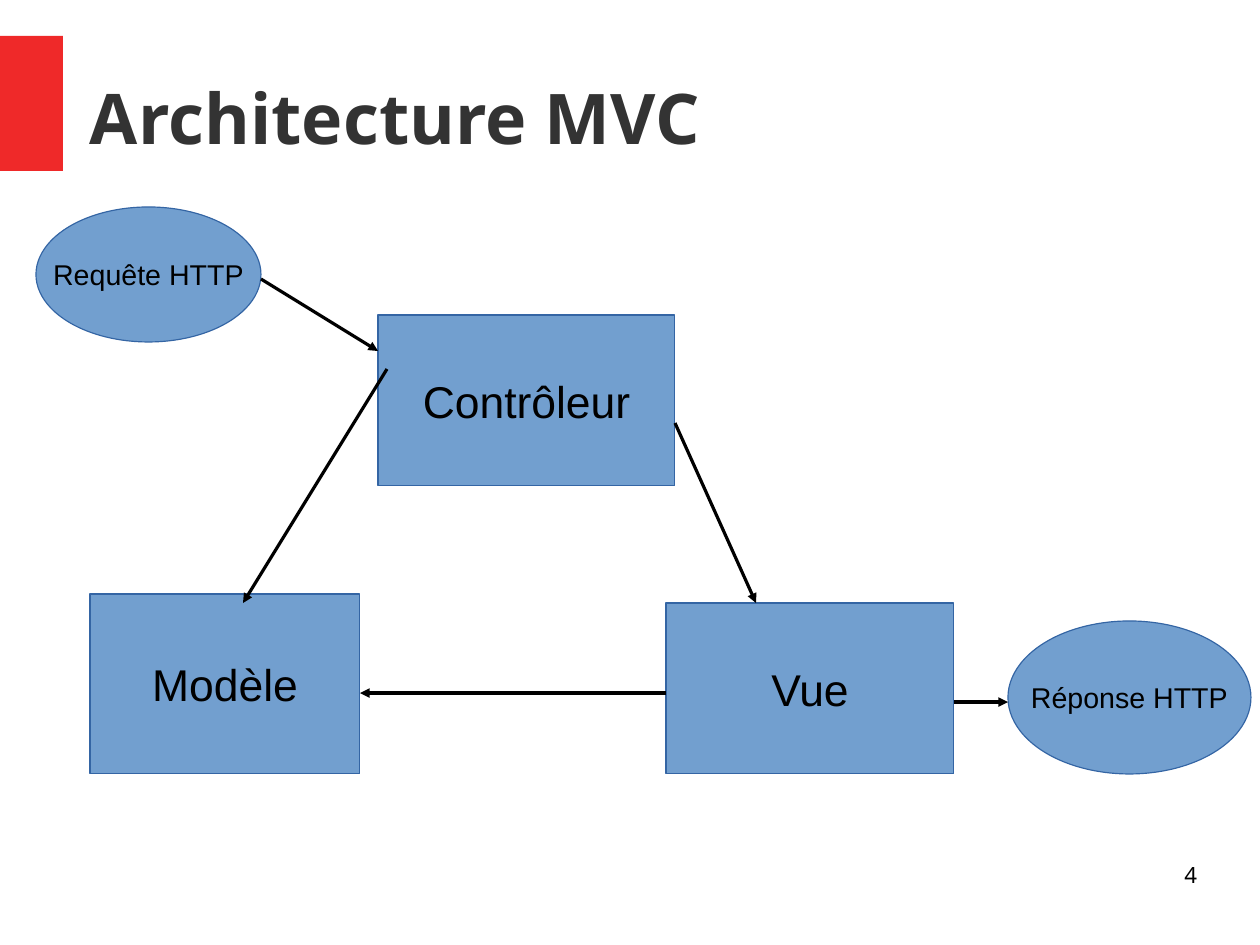
from lxml import etree
from pptx import Presentation
from pptx.dml.color import RGBColor
from pptx.enum.shapes import MSO_CONNECTOR, MSO_SHAPE
from pptx.enum.text import MSO_ANCHOR, PP_ALIGN
from pptx.oxml.ns import qn
from pptx.util import Pt

PX = 8000  # EMU in one px
RECT, OVAL = MSO_SHAPE.RECTANGLE, MSO_SHAPE.OVAL
STRAIGHT = MSO_CONNECTOR.STRAIGHT
TOP, MIDDLE = MSO_ANCHOR.TOP, MSO_ANCHOR.MIDDLE
LEFT, CENTER, RIGHT = PP_ALIGN.LEFT, PP_ALIGN.CENTER, PP_ALIGN.RIGHT


def px(*lengths):
    return [n * PX for n in lengths]


def rgb(color):
    return RGBColor.from_string(color)


class Deck:
    """Style and current slide, with one method per kind of element."""
    red, blue, edge = "EF2929", "729FCF", "3465A4"
    black, grey = "000000", "333333"
    body, heading = "Arial", "Noto Sans"

    def __init__(self, width, height):
        self.prs = Presentation()
        self.prs.slide_width, self.prs.slide_height = px(width, height)
        self.s = self.prs.slides.add_slide(self.prs.slide_layouts[6])

    def label(self, sp, text, color, align, frame, font):
        """Fill a shape with one line of text; frame and font are format dicts."""
        tf = sp.text_frame
        for name, value in frame.items():
            setattr(tf, name, value)
        p = tf.paragraphs[0]
        p.alignment = align
        r = p.add_run()
        r.text = text
        for name, value in font.items():
            setattr(r.font, name, value)
        r.font.color.rgb = rgb(color)

    def shape(self, kind, box, fill, edge=None):
        sp = self.s.shapes.add_shape(kind, *px(*box))
        sp.shadow.inherit = False
        sp.fill.solid()
        sp.fill.fore_color.rgb = rgb(fill)
        if edge:
            sp.line.color.rgb = rgb(edge)
            sp.line.width = 0
        else:
            sp.line.fill.background()
        return sp

    def node(self, kind, box, text, size):
        sp = self.shape(kind, box, self.blue, self.edge)
        self.label(sp, text, self.black, CENTER,
                   {"word_wrap": False, "vertical_anchor": MIDDLE},
                   {"name": self.body, "size": Pt(size)})

    def text(self, box, text, size, color, align=LEFT, anchor=TOP, bold=False):
        sp = self.s.shapes.add_textbox(*px(*box))
        self.label(sp, text, color, align,
                   {"word_wrap": True, "vertical_anchor": anchor,
                    "margin_left": 0, "margin_right": 0,
                    "margin_top": 0, "margin_bottom": 0},
                   {"name": self.heading, "size": Pt(size), "bold": bold})

    def arrow(self, start, end):
        c = self.s.shapes.add_connector(STRAIGHT, *px(*start, *end))
        c.line.color.rgb = rgb(self.black)
        c.line.width = 0
        sppr = c._element.spPr
        etree.SubElement(sppr.find(qn("a:ln")), qn("a:tailEnd"), type="triangle")
        etree.SubElement(sppr, qn("a:effectLst"))


def main():
    deck = Deck(1260, 945)
    deck.shape(RECT, (0, 36, 63, 135), deck.red)
    deck.text((90, 38, 1106, 158), "Architecture MVC", 44, deck.grey,
              anchor=MIDDLE, bold=True)

    for box, text in (
        ((378, 315, 297, 171), "Contrôleur"),
        ((90, 594, 270, 180), "Modèle"),
        ((666, 603, 288, 171), "Vue"),
    ):
        deck.node(RECT, box, text, 28)
    for box, text in (
        ((36, 207, 225, 135), "Requête HTTP"),
        ((1008, 621, 243, 153), "Réponse HTTP"),
    ):
        deck.node(OVAL, box, text, 18)

    for start, end in (
        ((387, 369), (243, 603)),
        ((675, 423), (756, 603)),
        ((666, 693), (360, 693)),
        ((261, 279), (378, 351)),
        ((954, 702), (1008, 702)),
    ):
        deck.arrow(start, end)

    deck.text((903, 861, 294, 65), "4", 14, deck.black, align=RIGHT)
    deck.prs.save("out.pptx")


if __name__ == "__main__":
    main()
